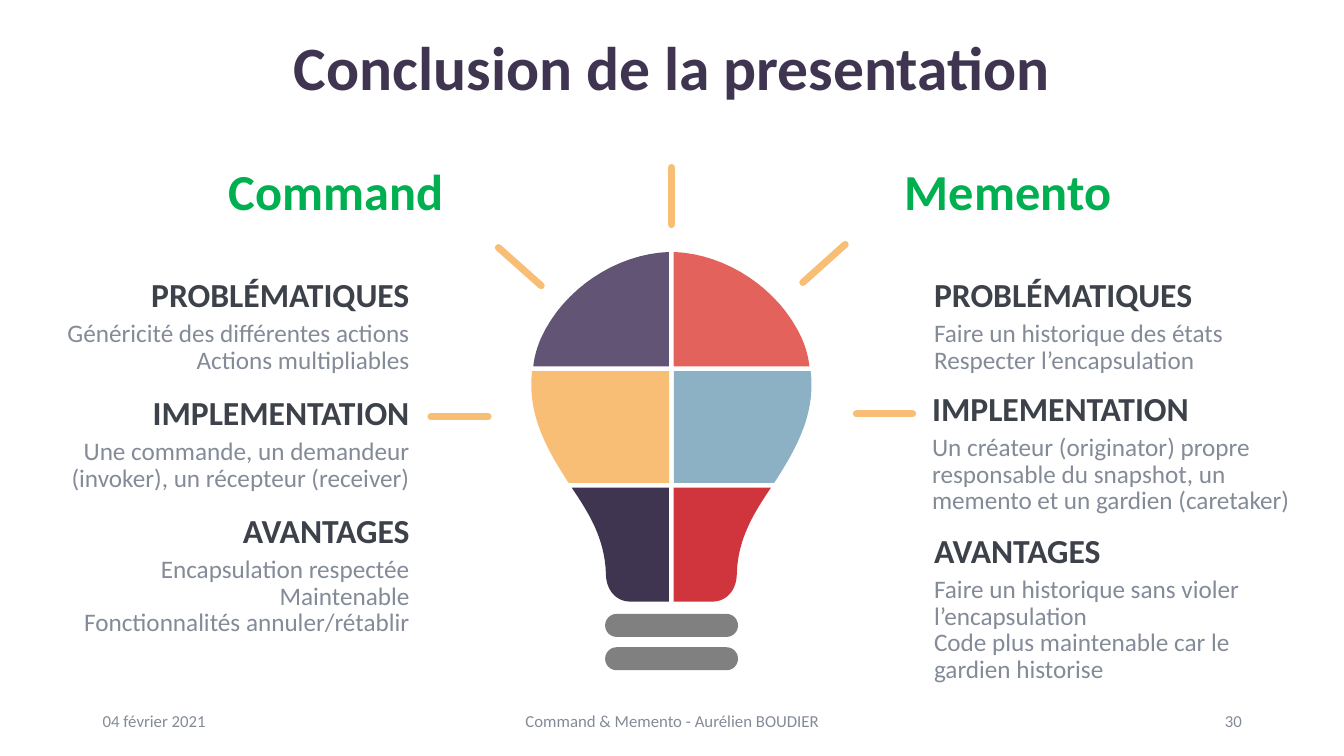
from dataclasses import dataclass

from lxml import etree
from pptx import Presentation
from pptx import util as u
from pptx.dml.color import RGBColor
from pptx.enum import shapes, text
from pptx.oxml.ns import qn

LEFT, CENTER, RIGHT = text.PP_ALIGN.LEFT, text.PP_ALIGN.CENTER, text.PP_ALIGN.RIGHT
TOP, MIDDLE, BOTTOM = text.MSO_ANCHOR.TOP, text.MSO_ANCHOR.MIDDLE, text.MSO_ANCHOR.BOTTOM


@dataclass(frozen=True)
class Theme:
    """Font, colours and type sizes of the deck."""
    font: str = "Calibri"
    navy: str = "403551"
    purple: str = "615474"
    coral: str = "E4625C"
    amber: str = "F9BE75"
    blue: str = "8DB1C4"
    red: str = "D0343C"
    gray: str = "808080"
    green: str = "00B050"
    heading: str = "3D4149"
    muted: str = "848B98"
    title_size: int = 44
    column_size: int = 36
    heading_size: int = 24
    body_size: int = 18
    footer_size: int = 12


THEME = Theme()

COMMAND = [
    ("PROBLÉMATIQUES", (1.22, 6.78, 9.35),
     ["Généricité des différentes actions", "Actions multipliables"]),
    ("IMPLEMENTATION", (1.22, 9.75, 9.35),
     ["Une commande, un demandeur (invoker), un récepteur (receiver)"]),
    ("AVANTAGES", (1.22, 12.72, 9.35),
     ["Encapsulation respectée", "Maintenable", "Fonctionnalités annuler/rétablir"]),
]
MEMENTO = [
    ("PROBLÉMATIQUES", (23.29, 6.78, 9.35),
     ["Faire un historique des états", "Respecter l’encapsulation"]),
    ("IMPLEMENTATION", (23.24, 9.65, 10.24),
     ["Un créateur (originator) propre responsable du snapshot, "
      "un memento et un gardien (caretaker)"]),
    ("AVANTAGES", (23.29, 13.23, 9.35),
     ["Faire un historique sans violer l’encapsulation",
      "Code plus maintenable car le gardien historise"]),
]

GAP = 0.06
BULB_BANDS = [
    ((GAP, 0), [((1.4, 0.05), (2.72, 0.94), (3.28, 2.16)),
                ((3.38, 2.39), (3.45, 2.62), (3.48, 2.88))],
     THEME.purple, THEME.coral),
    ((3.51, 3), [((3.61, 3.81), (3.35, 4.5), (3.02, 5.11)),
                 ((2.9, 5.33), (2.74, 5.59), (2.59, 5.82))],
     THEME.amber, THEME.blue),
    ((2.51, 5.94), [((2.08, 6.58), (1.68, 7.21), (1.65, 8.1)),
                    ((1.65, 8.52), (1.39, 8.81), (1.04, 8.81))],
     THEME.navy, THEME.red),
]
RAYS = [
    ((0, -2.13), (0, -0.69)),
    ((-4.36, -0.11), (-3.28, 0.85)),
    ((3.31, 0.77), (4.38, -0.19)),
    ((-6.06, 4.15), (-4.62, 4.15)),
    ((4.66, 4.08), (6.08, 4.08)),
]


def write(frame, lines, *, size, color, bold=False, align=LEFT, anchor=TOP, spacing=None):
    """Fill a text frame with one formatted paragraph per line."""
    frame.word_wrap = True
    frame.auto_size = text.MSO_AUTO_SIZE.NONE
    frame.vertical_anchor = anchor
    for index, line in enumerate(lines):
        para = frame.add_paragraph() if index else frame.paragraphs[0]
        para.alignment = align
        if spacing:
            para.line_spacing = spacing
        span = para.add_run()
        span.text = line
        span.font.name = THEME.font
        span.font.size = u.Pt(size)
        span.font.bold = bold
        span.font.color.rgb = RGBColor.from_string(color)


def add_text(page, box, lines, **style):
    """Add a text box at a box given in centimetres."""
    write(page.shapes.add_textbox(*map(u.Cm, box)).text_frame, lines, **style)


def paint(shape, color):
    """Give a shape a flat fill without line or shadow."""
    shape.shadow.inherit = False
    shape.fill.solid()
    shape.fill.fore_color.rgb = RGBColor.from_string(color)
    shape.line.fill.background()


def curve(start, first, second, end, steps=16):
    """Return points along a cubic curve, without its start."""
    points = []
    for step in range(1, steps + 1):
        t = step / steps
        weights = ((1 - t) ** 3, 3 * t * (1 - t) ** 2, 3 * t * t * (1 - t), t ** 3)
        points.append(tuple(sum(weight * point[axis] for weight, point
                                in zip(weights, (start, first, second, end)))
                            for axis in (0, 1)))
    return points


def add_title(page, box, title):
    """Place and format the title placeholder."""
    holder = page.shapes.title
    holder.left, holder.top, holder.width, holder.height = map(u.Cm, box)
    write(holder.text_frame, [title], size=THEME.title_size, color=THEME.navy,
          bold=True, align=CENTER, anchor=MIDDLE, spacing=0.9)


def add_bulb(page, center, top):
    """Draw the six-part bulb, its base and its rays around a top centre point."""
    for start, curves, left_color, right_color in BULB_BANDS:
        outline = [start]
        for controls in curves:
            outline += curve(outline[-1], *controls)
        outline += [(GAP, outline[-1][1]), (GAP, start[1])]
        for side, color in ((-1, left_color), (1, right_color)):
            points = [(u.Cm(center + side * x), u.Cm(top + y)) for x, y in outline]
            builder = page.shapes.build_freeform(*points[0])
            builder.add_line_segments(points[1:])
            paint(builder.convert_to_shape(), color)
    for offset in (9.12, 9.96):
        base = page.shapes.add_shape(
            shapes.MSO_SHAPE.ROUNDED_RECTANGLE,
            u.Cm(center - 1.67), u.Cm(top + offset), u.Cm(3.35), u.Cm(0.58))
        base.adjustments[0] = 0.5
        paint(base, THEME.gray)
    for (x1, y1), (x2, y2) in RAYS:
        ray = page.shapes.add_connector(
            shapes.MSO_CONNECTOR.STRAIGHT, u.Cm(center + x1), u.Cm(top + y1),
            u.Cm(center + x2), u.Cm(top + y2))
        ray.line.color.rgb = RGBColor.from_string(THEME.amber)
        ray.line.width = u.Pt(5)
        properties = ray.line._get_or_add_ln()
        properties.set("cap", "rnd")
        etree.SubElement(properties.getparent(), qn("a:effectLst"))


def add_column(page, box, name, topics, align):
    """Place a column name and its headed topics."""
    add_text(page, box, [name], size=THEME.column_size, color=THEME.green,
             bold=True, align=CENTER, anchor=MIDDLE, spacing=0.9)
    for heading, (left, top, width), lines in topics:
        add_text(page, (left, top, width, 1.27), [heading], size=THEME.heading_size,
                 color=THEME.heading, bold=True, align=align, anchor=BOTTOM)
        add_text(page, (left, top + 1.19, width, 2.28), lines, size=THEME.body_size,
                 color=THEME.muted, align=align, spacing=u.Pt(19))


def add_footer(page, top):
    """Place the date, the footer text and the page number."""
    for left, width, line, align in (
            (2.34, 7.62, "04 février 2021", LEFT),
            (11.23, 11.43, "Command & Memento - Aurélien BOUDIER", CENTER),
            (23.93, 7.62, "30", RIGHT)):
        add_text(page, (left, top, width, 1.02), [line], size=THEME.footer_size,
                 color=THEME.muted, align=align, anchor=MIDDLE)


def main():
    """Build and save the conclusion slide."""
    deck = Presentation()
    deck.slide_width, deck.slide_height = u.Cm(33.87), u.Cm(19.05)
    page = deck.slides.add_slide(deck.slide_layouts[5])
    add_title(page, (2.34, 0.94, 29.21, 1.7), "Conclusion de la presentation")
    add_bulb(page, 16.92, 6.35)
    add_column(page, (0, 4.04, 16.93, 1.7), "Command", COMMAND, RIGHT)
    add_column(page, (16.94, 4.04, 16.93, 1.7), "Memento", MEMENTO, LEFT)
    add_footer(page, 17.65)
    deck.save("out.pptx")


if __name__ == "__main__":
    main()
